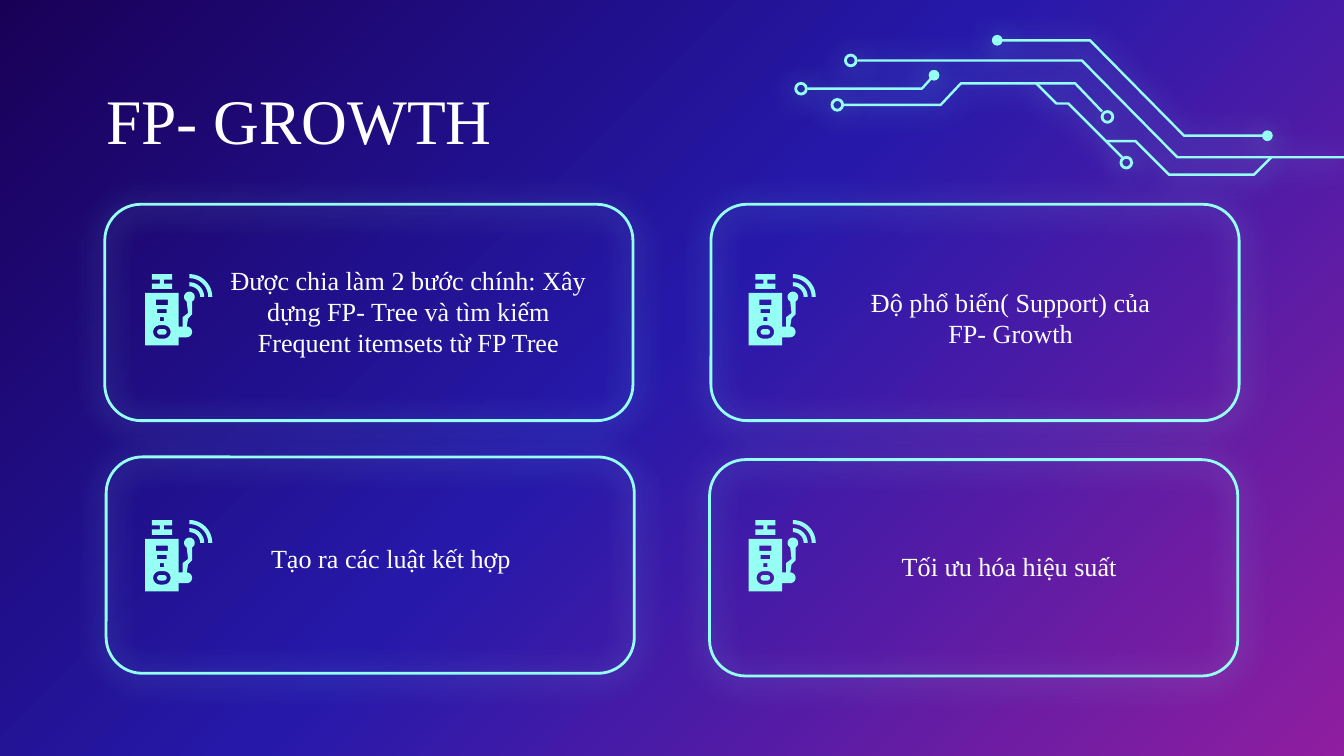
import copy
import math
from dataclasses import dataclass

import pptx
import pptx.dml.color
import pptx.enum.shapes
import pptx.enum.text
import pptx.oxml
import pptx.oxml.ns
import pptx.util

Inches = pptx.util.Inches
Pt = pptx.util.Pt
Shapes = pptx.enum.shapes.MSO_SHAPE
Anchor = pptx.enum.text.MSO_ANCHOR
Align = pptx.enum.text.PP_ALIGN


@dataclass(frozen=True)
class Theme:
    neon: str = "96FFF3"
    glow: str = "98FAFC"
    text: str = "FFFFFF"
    backdrop: tuple = ((0, "190057"), (0.48, "2619AA"), (1, "8F1EA0"))
    font: str = "Times New Roman"
    title_size: int = 34
    body_size: int = 14
    card_line: float = 1.5
    trace_line: float = 1.3


THEME = Theme()
CARD_SIZE = (3.93, 1.61)
ICON_X = (1.08, 5.57)
ICON_Y = (2.04, 3.87)
# Card corner, text box, and text, row by row
CARDS = (
    ((0.78, 1.52), (1.6, 1.58, 2.88, 1.47),
     "Được chia làm 2 bước chính: Xây dựng FP- Tree và tìm kiếm Frequent itemsets từ FP Tree"),
    ((5.29, 1.52), (6.24, 1.6, 2.56, 1.53), "Độ phổ biến( Support) của FP- Growth"),
    ((0.79, 3.4), (1.63, 3.4, 2.56, 1.5), "Tạo ra các luật kết hợp"),
    ((5.28, 3.42), (6.23, 3.42, 2.56, 1.58), "Tối ưu hóa hiệu suất"),
)

# Circuit parts, in inches from the corner of the circuit
TRACES = (
    ((0.11, 0.41), (0.96, 0.41), (1.05, 0.31)),
    ((1.52, 0.05), (2.21, 0.05), (2.91, 0.76), (3.53, 0.76)),
    ((0.48, 0.2), (2.15, 0.2), (2.86, 0.92), (4.1, 0.92)),
    ((0.38, 0.53), (1.1, 0.53), (1.25, 0.37), (2.1, 0.37), (2.3, 0.58)),
    ((1.81, 0.37), (1.96, 0.52), (2.05, 0.52), (2.45, 0.92)),
    ((2.33, 0.8), (2.55, 0.8), (2.8, 1.05), (3.43, 1.05), (3.56, 0.92)),
)
RINGS = ((0.06, 0.41), (0.43, 0.2), (0.33, 0.53), (2.34, 0.62), (2.48, 0.96))
DISCS = ((1.05, 0.31), (1.52, 0.05), (3.53, 0.76))
NODE_RADIUS = 0.04


def rgb(value):
    return pptx.dml.color.RGBColor.from_string(value)


def paint(shape, filled=False, line_width=0, glowing=False):
    shape.shadow.inherit = False
    if filled:
        shape.fill.solid()
        shape.fill.fore_color.rgb = rgb(THEME.neon)
    else:
        shape.fill.background()
    if line_width:
        shape.line.color.rgb = rgb(THEME.neon)
        shape.line.width = Pt(line_width)
    else:
        shape.line.fill.background()
    if glowing:
        effects = shape._element.spPr.find(pptx.oxml.ns.qn("a:effectLst"))
        effects.append(pptx.oxml.parse_xml(
            f'<a:outerShdw {pptx.oxml.ns.nsdecls("a")} blurRad="{Pt(15.8)}" dist="{Pt(1.5)}" '
            f'dir="5400000" algn="bl" rotWithShape="0"><a:srgbClr val="{THEME.glow}">'
            '<a:alpha val="67000"/></a:srgbClr></a:outerShdw>'))


def outline(shapes, left, top, contours, close=True):
    """Build one freeform from contours given in inches from (left, top)."""
    placed = [[(Inches(left + x), Inches(top + y)) for x, y in contour] for contour in contours]
    builder = shapes.build_freeform(*placed[0][0])
    for number, contour in enumerate(placed):
        if number:
            builder.move_to(*contour[0])
        builder.add_line_segments(contour[1:], close=close)
    return builder.convert_to_shape()


def arc(x, y, radius, start, end, steps=12):
    angles = (math.radians(start + (end - start) * i / steps) for i in range(steps + 1))
    return [(x + radius * math.cos(a), y + radius * math.sin(a)) for a in angles]


def box(left, top, right, bottom):
    return [(left, top), (right, top), (right, bottom), (left, bottom)]


def pill(left, top, right, bottom):
    radius = (bottom - top) / 2
    middle = top + radius
    return arc(left + radius, middle, radius, 90, 270) + arc(right - radius, middle, radius, -90, 90)


def wave(outer, inner):
    return arc(0.33, 0.17, outer, -90, 0) + arc(0.33, 0.17, inner, 0, -90)


def add_icon(slide, left, top):
    """Draw a USB stick with a cable and two radio waves."""
    plug = [(0.05, 0), (0.05, 0.04), (0.11, 0.04), (0.11, 0.07), (0.05, 0.07), (0.05, 0.11),
            (0.2, 0.11), (0.2, 0.07), (0.14, 0.07), (0.14, 0.04), (0.2, 0.04), (0.2, 0)]
    body = ([(0, 0.14), (0, 0.53), (0.25, 0.53), (0.25, 0.47)]
            + arc(0.31, 0.43, 0.04, 90, -90)
            + [(0.32, 0.33), (0.35, 0.3)]
            + arc(0.33, 0.17, 0.04, 60, -240)
            + [(0.32, 0.29), (0.28, 0.32), (0.28, 0.39), (0.25, 0.39), (0.25, 0.14)])
    windows = [box(0.08, 0.19, 0.17, 0.23), box(0.09, 0.26, 0.16, 0.29),
               box(0.11, 0.32, 0.14, 0.35), pill(0.06, 0.38, 0.19, 0.48)]
    parts = ([wave(0.11, 0.08)], [wave(0.17, 0.14)], [plug],
             [pill(0.09, 0.41, 0.16, 0.45)], [body, *windows])
    icon = slide.shapes.add_group_shape()
    for contours in parts:
        paint(outline(icon.shapes, left, top, contours), filled=True)


def add_circuit(slide, left, top):
    circuit = slide.shapes.add_group_shape()
    for trace in TRACES:
        paint(outline(circuit.shapes, left, top, [trace], close=False),
              line_width=THEME.trace_line, glowing=True)
    for nodes, filled in ((RINGS, False), (DISCS, True)):
        for x, y in nodes:
            node = circuit.shapes.add_shape(
                Shapes.OVAL, Inches(left + x - NODE_RADIUS), Inches(top + y - NODE_RADIUS),
                Inches(2 * NODE_RADIUS), Inches(2 * NODE_RADIUS))
            paint(node, filled, 0 if filled else THEME.card_line, glowing=True)


def write(holder, bounds, text, size, align, anchor, inset):
    holder.left, holder.top, holder.width, holder.height = map(Inches, bounds)
    frame = holder.text_frame
    frame.text = text
    frame.word_wrap = True
    frame.auto_size = pptx.enum.text.MSO_AUTO_SIZE.NONE
    frame.vertical_anchor = anchor
    frame.margin_left = frame.margin_right = Inches(inset)
    frame.margin_top = frame.margin_bottom = Inches(inset)
    paragraph = frame.paragraphs[0]
    properties = paragraph._p.get_or_add_pPr()
    properties.set("marL", "0")
    properties.set("indent", "0")
    properties.append(pptx.oxml.parse_xml(f'<a:buNone {pptx.oxml.ns.nsdecls("a")}/>'))
    paragraph.alignment = align
    paragraph.space_before = Pt(0)
    font = paragraph.runs[0].font
    font.name, font.size, font.bold = THEME.font, Pt(size), False
    font.color.rgb = rgb(THEME.text)


def add_card(slide, holder, corner, text_bounds, text):
    frame = slide.shapes.add_shape(Shapes.ROUNDED_RECTANGLE, *map(Inches, corner + CARD_SIZE))
    frame.adjustments[0] = 0.167
    paint(frame, line_width=THEME.card_line, glowing=True)
    write(holder, text_bounds, text, THEME.body_size, Align.CENTER, Anchor.MIDDLE, 0.1)


def set_backdrop(slide):
    fill = slide.background.fill
    fill.gradient()
    fill.gradient_angle = 315
    stops = slide._element.find(f'.//{pptx.oxml.ns.qn("a:gsLst")}')
    stops.append(copy.deepcopy(stops[0]))
    for stop, (position, color) in zip(fill.gradient_stops, THEME.backdrop):
        stop.position = position
        stop.color.rgb = rgb(color)


def main():
    deck = pptx.Presentation()
    deck.slide_width, deck.slide_height = Inches(10), Inches(10 * 9 / 16)
    slide = deck.slides.add_slide(deck.slide_layouts.get_by_name("Comparison"))
    set_backdrop(slide)
    title, *bodies = slide.placeholders
    write(title, (0.79, 0.6, 8.43, 0.63), "FP- GROWTH", THEME.title_size,
          Align.LEFT, Anchor.TOP, 0)
    add_circuit(slide, 5.9, 0.25)
    for number, (body, card) in enumerate(zip(bodies, CARDS)):
        add_card(slide, body, *card)
        row, column = divmod(number, 2)
        add_icon(slide, ICON_X[column], ICON_Y[row])
    deck.save("out.pptx")


if __name__ == "__main__":
    main()
